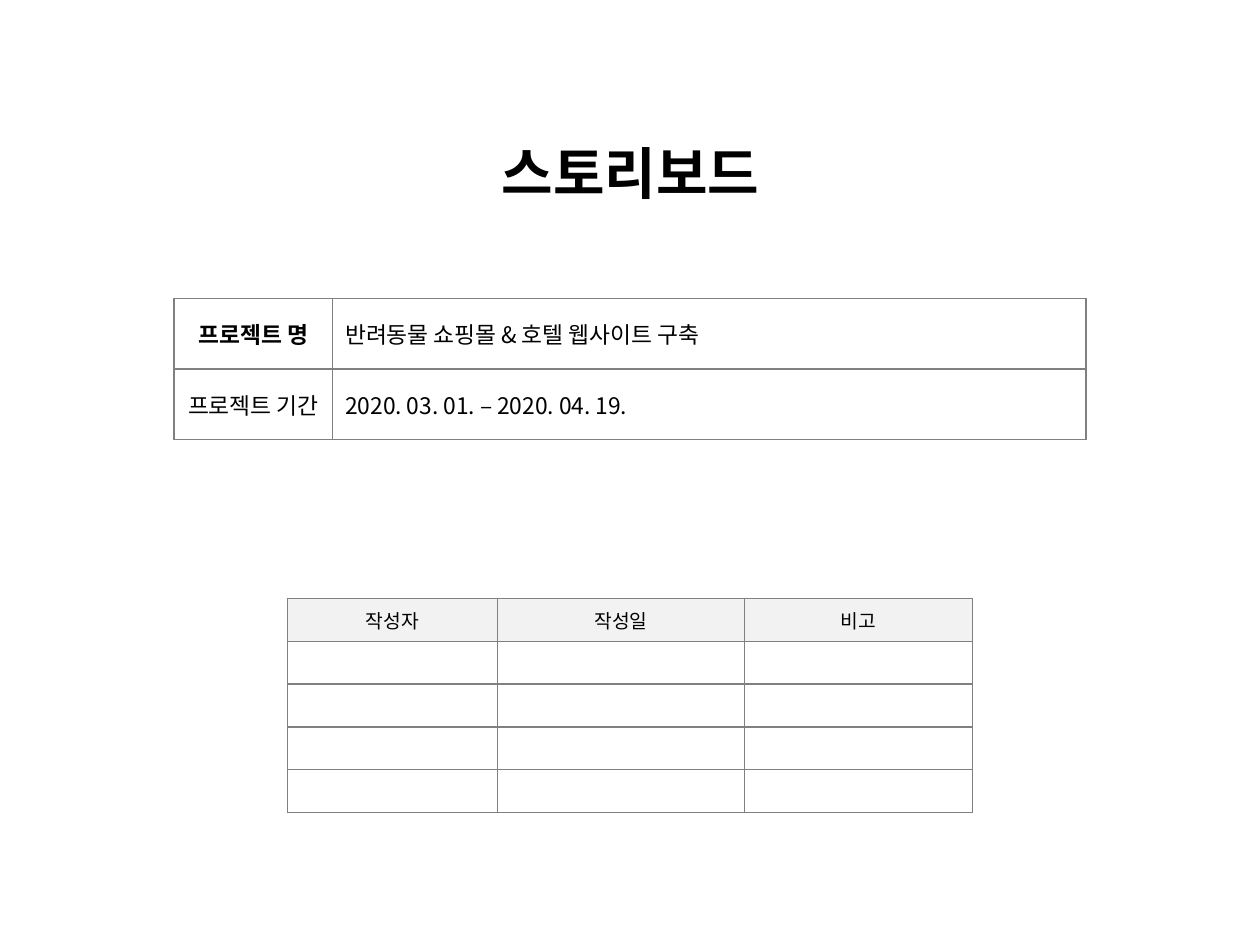
from lxml import etree
from pptx import Presentation
from pptx.dml.color import RGBColor
from pptx.enum import text as t
from pptx.oxml import ns
from pptx.util import Inches, Pt

BLACK = RGBColor(0x00, 0x00, 0x00)
HEADER_FILL = RGBColor(0xF2, 0xF2, 0xF2)
BORDER = RGBColor(0x80, 0x80, 0x80)
KOREAN_FONT = "Noto Sans CJK KR"
CENTER, LEFT = t.PP_ALIGN.CENTER, t.PP_ALIGN.LEFT

TITLE = "스토리보드"
PROJECT = [
    ["프로젝트 명", "반려동물 쇼핑몰 & 호텔 웹사이트 구축"],
    ["프로젝트 기간", "2020. 03. 01. – 2020. 04. 19."],
]
HISTORY_HEADER = ["작성자", "작성일", "비고"]
HISTORY = [HISTORY_HEADER] + [[""] * len(HISTORY_HEADER) for _ in range(4)]


def add_run(paragraph, content, size, font, bold=False):
    run = paragraph.add_run()
    run.text = content
    run.font.size = Pt(size)
    run.font.name = font
    run.font.bold = bold
    run.font.color.rgb = BLACK
    east_asian = etree.SubElement(run.font._element, ns.qn("a:ea"))
    east_asian.set("typeface", KOREAN_FONT)


def add_borders(cell):
    properties = cell._tc.get_or_add_tcPr()
    for index, side in enumerate(("lnL", "lnR", "lnT", "lnB")):
        line = etree.Element(ns.qn(f"a:{side}"), w=str(Pt(1)))
        fill = etree.SubElement(line, ns.qn("a:solidFill"))
        etree.SubElement(fill, ns.qn("a:srgbClr"), val=str(BORDER))
        properties.insert(index, line)


def add_grid(slide, rows, left, top, widths, row_height, size, font,
             alignments, header_fill=None, bold_cells=()):
    frame = slide.shapes.add_table(
        len(rows), len(widths), Inches(left), Inches(top),
        Inches(sum(widths)), Inches(row_height * len(rows)))
    table = frame.table
    table.first_row = table.horz_banding = False
    for column, width in zip(table.columns, widths):
        column.width = Inches(width)
    for r, values in enumerate(rows):
        table.rows[r].height = Inches(row_height)
        for c, value in enumerate(values):
            cell = table.cell(r, c)
            cell.vertical_anchor = t.MSO_ANCHOR.MIDDLE
            if header_fill is not None and r == 0:
                cell.fill.solid()
                cell.fill.fore_color.rgb = header_fill
            else:
                cell.fill.background()
            add_borders(cell)
            paragraph = cell.text_frame.paragraphs[0]
            paragraph.alignment = alignments[c]
            if value:
                add_run(paragraph, value, size, font, (r, c) in bold_cells)
            else:
                etree.SubElement(paragraph._p, ns.qn("a:endParaRPr"),
                                 sz=str(size * 100))


def add_title(slide):
    box = slide.shapes.add_textbox(Inches(0.91), Inches(1.05), Inches(8.19), Inches(0.64))
    box.text_frame.word_wrap = True
    box.text_frame.auto_size = t.MSO_AUTO_SIZE.SHAPE_TO_FIT_TEXT
    paragraph = box.text_frame.paragraphs[0]
    paragraph.alignment = CENTER
    add_run(paragraph, TITLE, 32, KOREAN_FONT, True)


def main():
    presentation = Presentation()
    presentation.slide_width, presentation.slide_height = Inches(10), Inches(7.5)
    slide = presentation.slides.add_slide(presentation.slide_layouts[6])
    add_title(slide)
    add_grid(slide, HISTORY, 2.28, 4.75, [1.67, 1.96, 1.81], 0.34, 11, "Arial",
             [CENTER] * 3, header_fill=HEADER_FILL)
    add_grid(slide, PROJECT, 1.38, 2.37, [1.26, 5.98], 0.56, 13, KOREAN_FONT,
             [CENTER, LEFT], bold_cells={(0, 0)})
    presentation.save("out.pptx")


if __name__ == "__main__":
    main()
